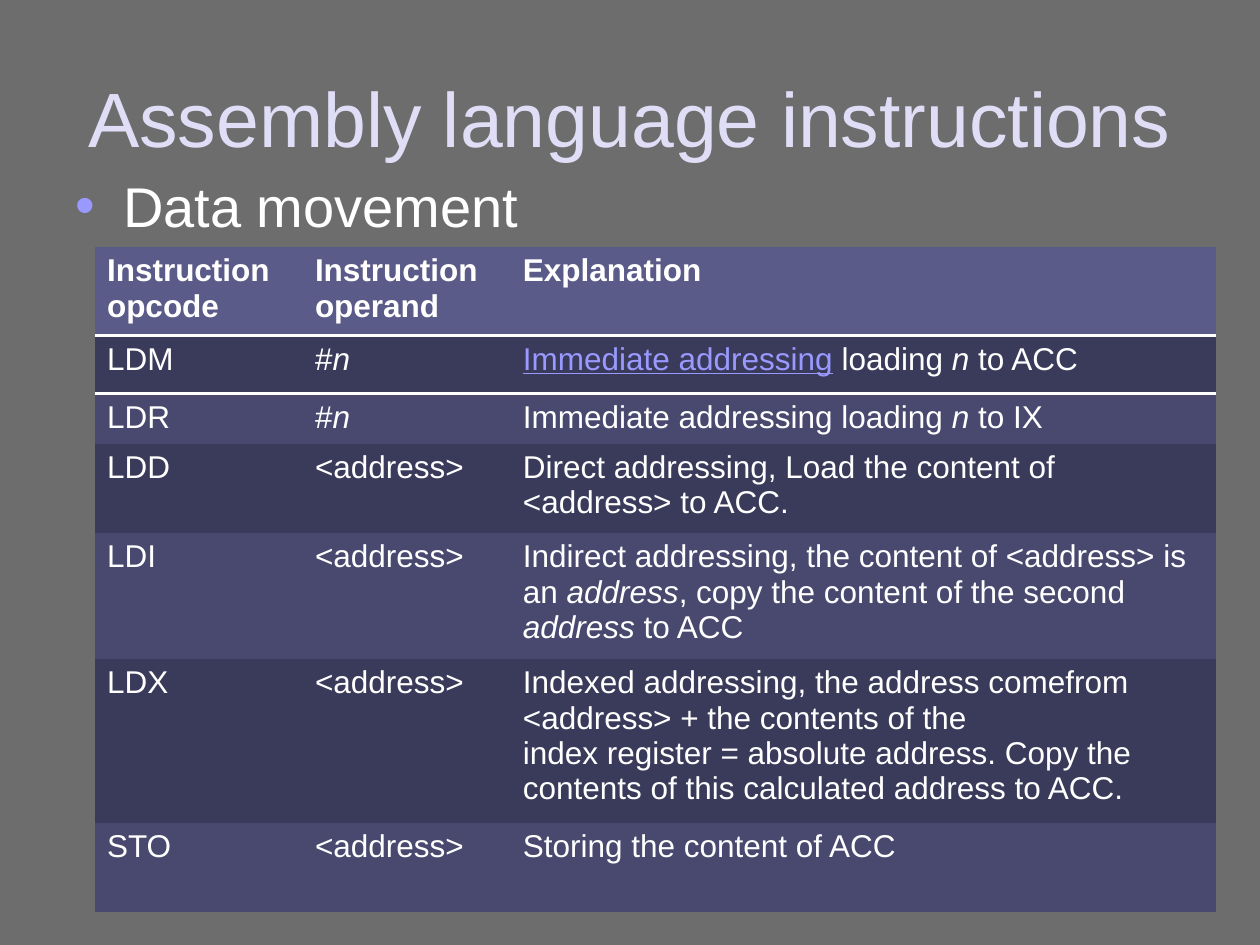
from typing import NamedTuple

from pptx import Presentation
from pptx.dml.color import RGBColor
from pptx.enum.text import MSO_ANCHOR, PP_ALIGN
from pptx.oxml.ns import qn
from pptx.oxml.xmlchemy import OxmlElement
from pptx.util import Inches, Pt

BACKGROUND = RGBColor(0x6D, 0x6D, 0x6D)
TITLE_COLOR = RGBColor(0xDF, 0xDE, 0xF6)
ACCENT = RGBColor(0x99, 0x99, 0xFF)
WHITE = RGBColor(0xFF, 0xFF, 0xFF)
HEADER_FILL = RGBColor(0x5B, 0x5B, 0x89)
BAND_FILLS = (RGBColor(0x49, 0x49, 0x70), RGBColor(0x3A, 0x3A, 0x5A))
FONT = "Arial"
NO_STYLE_NO_GRID = "{2D5ABB26-0587-4C30-8999-92F81FD0307C}"


class Span(NamedTuple):
    text: str
    italic: bool = False
    link: bool = False


class Instruction(NamedTuple):
    opcode: str
    operand: list[Span]
    explanation: list[list[Span]]
    height: float


N = Span("n", italic=True)
ADDRESS = Span("address", italic=True)
IMMEDIATE_OPERAND = [Span("#"), N]
ADDRESS_OPERAND = [Span("<address>")]

HEADERS = ("Instruction opcode", "Instruction operand", "Explanation")
HEADER_HEIGHT = 0.7
COLUMN_WIDTHS = (1.65, 1.65, 5.6)
INSTRUCTIONS = [
    Instruction("LDM", IMMEDIATE_OPERAND, [[
        Span("Immediate addressing", link=True), Span(" loading "), N, Span(" to ACC")]], 0.46),
    Instruction("LDR", IMMEDIATE_OPERAND, [[
        Span("Immediate addressing loading "), N, Span(" to IX")]], 0.4),
    Instruction("LDD", ADDRESS_OPERAND, [[
        Span("Direct addressing, Load the content of <address> to ACC.")]], 0.71),
    Instruction("LDI", ADDRESS_OPERAND, [[
        Span("Indirect addressing, the content of <address> is an "), ADDRESS,
        Span(", copy the content of the second "), ADDRESS, Span(" to ACC")]], 1.0),
    Instruction("LDX", ADDRESS_OPERAND, [
        [Span("Indexed addressing, the address comefrom <address> + the contents of the")],
        [Span("index register = absolute address. "
              "Copy the contents of this calculated address to ACC.")]], 1.3),
    Instruction("STO", ADDRESS_OPERAND, [[Span("Storing the content of ACC")]], 0.71),
]


def add_text(paragraph, text: str, *, size: float = 18, color: RGBColor = WHITE,
             bold: bool = False, italic: bool = False, underline: bool = False) -> None:
    run = paragraph.add_run()
    run.text = text
    font = run.font
    font.name, font.size = FONT, Pt(size)
    font.bold, font.italic, font.underline = bold, italic, underline
    font.color.rgb = color


def add_title(slide, text: str) -> None:
    title = slide.shapes.title
    title.left, title.top = Inches(0.5), Inches(0.3)
    title.width, title.height = Inches(9), Inches(1.25)
    title.text_frame.vertical_anchor = MSO_ANCHOR.MIDDLE
    paragraph = title.text_frame.paragraphs[0]
    paragraph.alignment = PP_ALIGN.CENTER
    add_text(paragraph, text, size=44, color=TITLE_COLOR)


def add_bullet(slide, text: str) -> None:
    box = slide.shapes.add_textbox(Inches(0.5), Inches(1.31), Inches(9), Inches(0.65))
    box.text_frame.word_wrap = True
    paragraph = box.text_frame.paragraphs[0]
    paragraph.space_before = Pt(6.4)
    add_text(paragraph, text, size=32)

    properties = paragraph._p.get_or_add_pPr()
    properties.set("marL", str(Inches(0.38)))
    properties.set("indent", str(Inches(-0.38)))
    bullet_color = OxmlElement("a:buClr")
    rgb = OxmlElement("a:srgbClr")
    rgb.set("val", str(ACCENT))
    bullet_color.append(rgb)
    bullet_font = OxmlElement("a:buFont")
    bullet_font.set("typeface", FONT)
    bullet = OxmlElement("a:buChar")
    bullet.set("char", "•")
    properties.extend([bullet_color, bullet_font, bullet])


def set_border(cell, side: str, color: RGBColor, width: float) -> None:
    """Draw one edge of a cell; side is a tag such as a:lnB."""
    line = OxmlElement(side)
    line.set("w", str(Pt(width)))
    fill = OxmlElement("a:solidFill")
    rgb = OxmlElement("a:srgbClr")
    rgb.set("val", str(color))
    fill.append(rgb)
    line.append(fill)
    cell._tc.get_or_add_tcPr().insert(0, line)


def fill_cell(cell, paragraphs: list[list[Span]], fill: RGBColor, bold: bool = False) -> None:
    cell.fill.solid()
    cell.fill.fore_color.rgb = fill
    frame = cell.text_frame
    for index, spans in enumerate(paragraphs):
        paragraph = frame.add_paragraph() if index else frame.paragraphs[0]
        for span in spans:
            add_text(paragraph, span.text, bold=bold, italic=span.italic,
                     underline=span.link, color=ACCENT if span.link else WHITE)


def add_instruction_table(slide) -> None:
    heights = [HEADER_HEIGHT] + [instruction.height for instruction in INSTRUCTIONS]
    table = slide.shapes.add_table(
        len(heights), len(COLUMN_WIDTHS), Inches(0.75), Inches(1.96),
        Inches(sum(COLUMN_WIDTHS)), Inches(sum(heights))).table
    table._tbl.tblPr.find(qn("a:tableStyleId")).text = NO_STYLE_NO_GRID
    for column, width in zip(table.columns, COLUMN_WIDTHS):
        column.width = Inches(width)
    for row, height in zip(table.rows, heights):
        row.height = Inches(height)

    for column, header in enumerate(HEADERS):
        cell = table.cell(0, column)
        fill_cell(cell, [[Span(header)]], HEADER_FILL, bold=True)
        set_border(cell, "a:lnB", WHITE, 2)
        set_border(table.cell(1, column), "a:lnT", WHITE, 2)
    for row, instruction in enumerate(INSTRUCTIONS, start=1):
        contents = ([[Span(instruction.opcode)]], [instruction.operand], instruction.explanation)
        for column, paragraphs in enumerate(contents):
            fill_cell(table.cell(row, column), paragraphs, BAND_FILLS[row % 2])


def main() -> None:
    presentation = Presentation()
    presentation.slide_width, presentation.slide_height = Inches(10), Inches(7.5)
    slide = presentation.slides.add_slide(presentation.slide_layouts[5])
    slide.background.fill.solid()
    slide.background.fill.fore_color.rgb = BACKGROUND
    add_title(slide, "Assembly language instructions")
    add_bullet(slide, "Data movement")
    add_instruction_table(slide)
    presentation.save("out.pptx")


if __name__ == "__main__":
    main()
